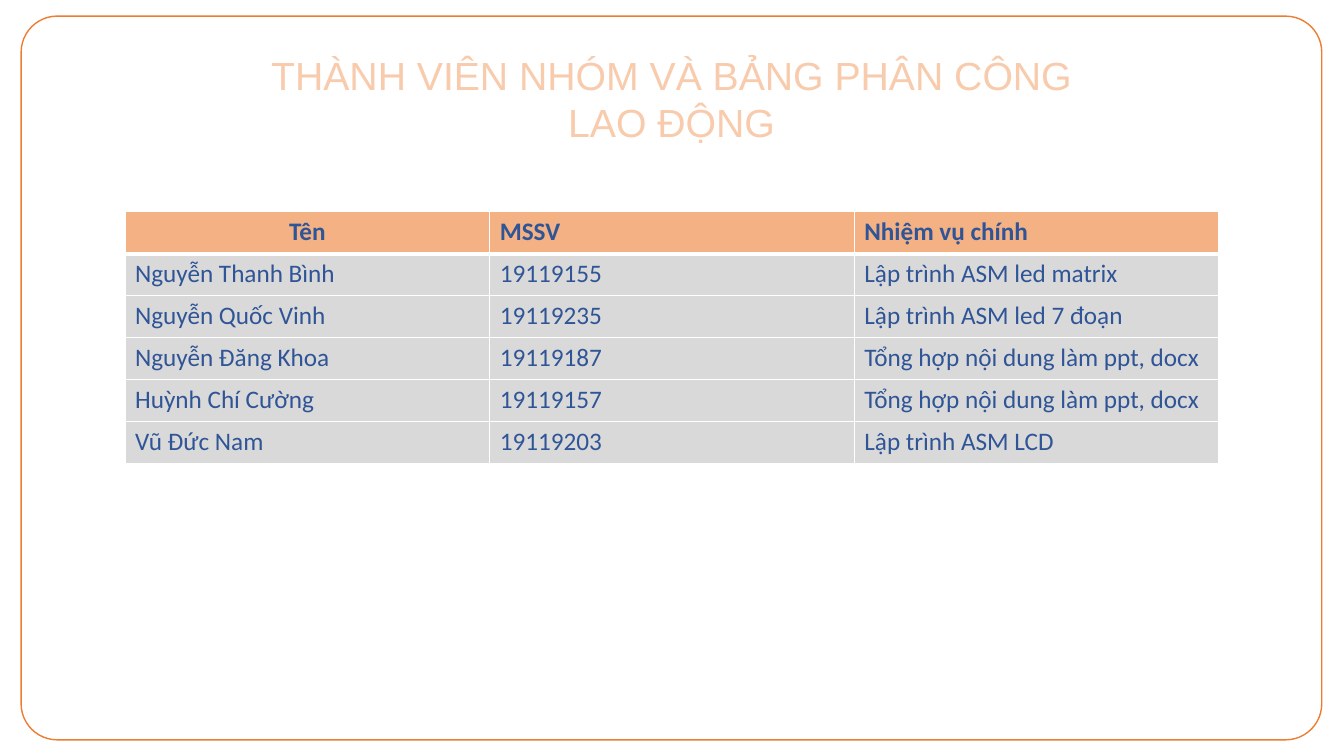
from lxml.etree import SubElement
from pptx import Presentation
from pptx.dml.color import RGBColor as Rgb
from pptx.enum.shapes import MSO_SHAPE as Shape
from pptx.enum.text import MSO_AUTO_SIZE as AutoSize, PP_ALIGN as Align
from pptx.oxml.ns import qn
from pptx.util import Inches, Pt

COLORS = {
    "paper": "FFFFFF",
    "frame": "ED7D31",
    "title": "F8CBAD",
    "header": "F4B183",
    "body": "D9D9D9",
    "ink": "2F5597",
}

HEADINGS = ("Tên", "MSSV", "Nhiệm vụ chính")
MEMBERS = [
    ("Nguyễn Thanh Bình", "19119155", "Lập trình ASM led matrix"),
    ("Nguyễn Quốc Vinh", "19119235", "Lập trình ASM led 7 đoạn"),
    ("Nguyễn Đăng Khoa", "19119187", "Tổng hợp nội dung làm ppt, docx"),
    ("Huỳnh Chí Cường", "19119157", "Tổng hợp nội dung làm ppt, docx"),
    ("Vũ Đức Nam", "19119203", "Lập trình ASM LCD"),
]


def rgb(name):
    return Rgb.from_string(COLORS[name])


def add_line(parent, tag, color, width):
    line = SubElement(parent, qn(tag), w=str(Pt(width)))
    fill = SubElement(line, qn("a:solidFill"))
    SubElement(fill, qn("a:srgbClr"), val=COLORS[color])
    return line


def write(frame, text, font="Calibri", size=18, color="ink", bold=False,
          align=Align.LEFT, outline=None):
    paragraph = frame.paragraphs[0]
    paragraph.alignment = align
    run = paragraph.add_run()
    run.text = text
    run.font.name = font
    run.font.size = Pt(size)
    run.font.bold = bold
    run.font.color.rgb = rgb(color)
    if outline:
        properties = run.font._element
        properties.insert(0, add_line(properties, "a:ln", *outline))


class MemberSlide:
    def __init__(self, deck):
        self.slide = deck.slides.add_slide(deck.slide_layouts[6])
        self.slide.background.fill.solid()
        self.slide.background.fill.fore_color.rgb = rgb("paper")

    def frame(self, left, top, width, height):
        border = self.slide.shapes.add_shape(
            Shape.ROUNDED_RECTANGLE, Inches(left), Inches(top),
            Inches(width), Inches(height))
        border.adjustments[0] = 0.05
        border.shadow.inherit = False
        border.fill.solid()
        border.fill.fore_color.rgb = rgb("paper")
        border.line.color.rgb = rgb("frame")
        border.line.width = Pt(1)

    def title(self, text, left, top, width, height):
        heading = self.slide.shapes.add_textbox(
            Inches(left), Inches(top), Inches(width), Inches(height))
        heading.text_frame.word_wrap = True
        heading.text_frame.auto_size = AutoSize.SHAPE_TO_FIT_TEXT
        write(heading.text_frame, text, font="Arial", size=28, color="title",
              align=Align.CENTER, outline=("frame", 1.75))

    def table(self, rows, left, top, width, height):
        grid = self.slide.shapes.add_table(
            len(rows), len(rows[0]), Inches(left), Inches(top),
            Inches(width), Inches(height)).table
        for r, values in enumerate(rows):
            for c, value in enumerate(values):
                self.cell(grid.cell(r, c), value, r, c)

    def cell(self, cell, value, row, column):
        header = row == 0
        centered = header and column == 0
        write(cell.text_frame, value, bold=header,
              align=Align.CENTER if centered else Align.LEFT)
        edges = {"L": 1, "R": 1, "T": 3 if row == 1 else 1, "B": 3 if header else 1}
        for edge, width in edges.items():
            add_line(cell._tc.get_or_add_tcPr(), f"a:ln{edge}", "paper", width)
        cell.fill.solid()
        cell.fill.fore_color.rgb = rgb("header" if header else "body")


def main():
    deck = Presentation()
    deck.slide_width = Inches(13.33)
    deck.slide_height = Inches(7.5)
    members = MemberSlide(deck)
    members.frame(0.21, 0.16, 12.9, 7.18)
    members.title("THÀNH VIÊN NHÓM VÀ BẢNG PHÂN CÔNG LAO ĐỘNG", 2.18, 0.46, 8.96, 1.04)
    members.table([HEADINGS, *MEMBERS], 1.24, 2.1, 10.85, 2.5)
    deck.save("out.pptx")


if __name__ == "__main__":
    main()
